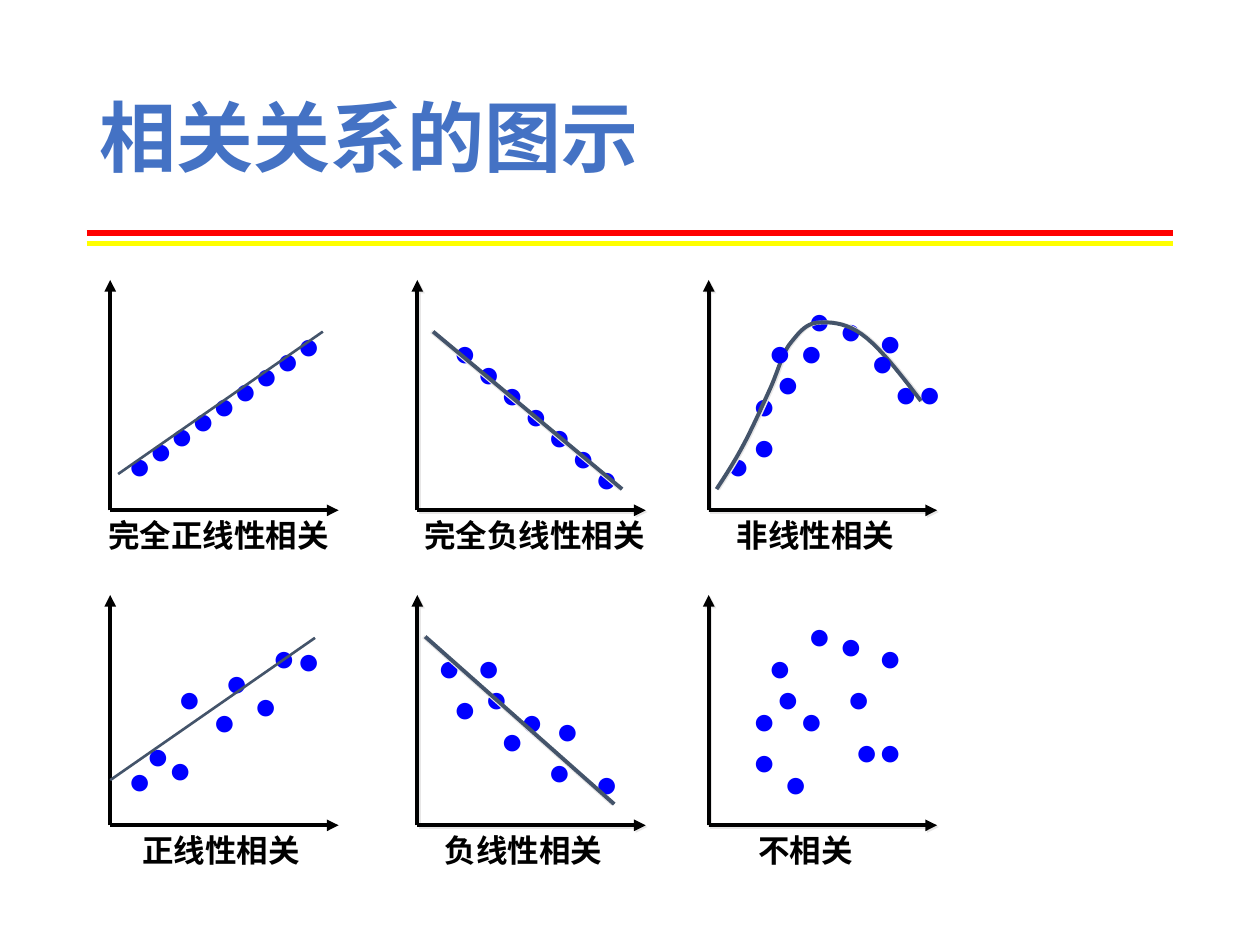
from lxml import etree
from pptx import Presentation
from pptx.dml.color import RGBColor
from pptx.enum import shapes, text
from pptx.oxml import ns
from pptx.util import Pt

COLORS = {"title": "4472C4", "red": "FF0000", "yellow": "FFFF00", "axis": "000000",
          "dot": "0000FF", "trend": "44546A", "shadow": "E7E6E6"}
CJK, LATIN = "Noto Sans CJK SC", "Times New Roman"
TITLE = "相关关系的图示"
COLUMNS, ROWS = (63, 238.5, 405), (160, 340)
AXIS_WIDTH, AXIS_HEIGHT = 130.5, 131.6
AXIS_SHADOW, LEFT_SHADOW, RIGHT_SHADOW = (1.4, 45), (1, 180), (1, 0)

PANELS = [
    {"caption": "完全正线性相关", "caption_x": -8.3, "caption_width": 157.5,
     "back": [(3.2 + 12.06 * i, 88.6 - 8.55 * i) for i in range(9)],
     "trend": [(4.5, 110.9), (121.5, 29.5)], "weight": 1.5},
    {"caption": "完全负线性相关", "caption_x": -3, "caption_width": 157.5,
     "back": [(13.5 + 13.5 * i, 23.8 + 12 * i) for i in range(7)],
     "trend": [(9, 29.5), (117, 119.5)], "weight": 2.25},
    {"caption": "非线性相关", "caption_x": 9, "caption_width": 112.5,
     "back": [(3.2, 88.6), (99, 47.5), (67.5, 11.5), (90, 18), (49.5, 5.8),
              (45, 23.8), (31.5, 41.8), (18, 77.8), (18, 54)],
     "curve": [(4.5, 119.5), (9.7, 111.6), (14.8, 103.7), (19.8, 94.3),
               (24.8, 85), (30.6, 72), (34.9, 62.6),
               (39.2, 53.3), (41.4, 43.9), (45.7, 37.4),
               (50.8, 31), (54.4, 25.9), (60.8, 24.5),
               (68, 23.8), (77.4, 23.8), (87.5, 31),
               (97.6, 38.2), (109.8, 54), (121.3, 69.1)],
     "front": [(85.5, 29.5), (112.5, 47.5), (27, 23.8)]},
    {"caption": "正线性相关", "caption_x": 11.2, "caption_width": 112.5,
     "back": [(3.2, 88.6), (99.7, 20.2), (75.2, 45.4), (85.5, 18), (58.5, 32.4),
              (51.5, 54.7), (31.5, 41.8), (13.5, 74.2), (26.3, 82.1)],
     "trend": [(0, 105.8), (117, 24.5)], "weight": 1.5},
    {"caption": "负线性相关", "caption_x": 8.5, "caption_width": 112.5,
     "back": [(67.5, 83.5), (94.5, 90), (40.5, 65.5), (72, 59.8), (13.5, 47.5),
              (51.7, 54.7), (31.5, 41.8), (4.5, 23.8), (27, 23.8)],
     "trend": [(4.5, 23.8), (112.5, 119.5)], "weight": 2.25},
    {"caption": "不相关", "caption_x": 21.2, "caption_width": 100,
     "back": [(36, 90), (76.5, 72), (67.5, 11.5), (90, 18), (49.5, 5.8), (45, 54),
              (31.5, 41.8), (18, 77.8), (18, 54), (72, 41.8), (90, 72), (27, 23.8)]},
]


def add_element(parent, tag, **attributes):
    return etree.SubElement(parent, ns.qn(tag), {k: str(v) for k, v in attributes.items()})


def set_font(paragraph, name, size, color, bold=False):
    font = paragraph.font
    font.name, font.size, font.bold = name, Pt(size), bold
    font.color.rgb = RGBColor.from_string(COLORS[color])
    for run in paragraph.runs:
        run.font.name = name
        add_element(run.font._element, "a:ea", typeface=name)


def style_line(shape, color, weight, shadow=None, arrow=False):
    shape.line.color.rgb = RGBColor.from_string(COLORS[color])
    shape.line.width = Pt(weight)
    if arrow:
        add_element(shape.line._get_or_add_ln(), "a:tailEnd", type="triangle")
    effects = add_element(shape._element.spPr, "a:effectLst")
    if shadow:
        distance, angle = shadow
        outer = add_element(effects, "a:outerShdw", dist=Pt(distance), dir=angle * 60000,
                            algn="ctr", rotWithShape=0)
        add_element(outer, "a:srgbClr", val=COLORS["shadow"])


def add_line(slide, start, end, *style):
    line = slide.shapes.add_connector(shapes.MSO_CONNECTOR.STRAIGHT,
                                      *(Pt(v) for v in (*start, *end)))
    style_line(line, *style)


def add_text(slide, content, box, *font):
    frame = slide.shapes.add_textbox(*(Pt(v) for v in box)).text_frame
    frame.word_wrap = True
    frame.auto_size = text.MSO_AUTO_SIZE.SHAPE_TO_FIT_TEXT
    paragraph = frame.paragraphs[0]
    paragraph.text = content
    spacing = add_element(paragraph._p.get_or_add_pPr(), "a:spcBef")
    add_element(spacing, "a:spcPct", val=50000)
    set_font(paragraph, *font)


def bezier(points, steps=10):
    yield points[0]
    for k in range(0, len(points) - 1, 3):
        for step in range(1, steps + 1):
            t = step / steps
            weights = ((1 - t) ** 3, 3 * t * (1 - t) ** 2, 3 * t * t * (1 - t), t ** 3)
            yield tuple(sum(w * p[axis] for w, p in zip(weights, points[k:k + 4]))
                        for axis in (0, 1))


def add_curve(slide, points):
    vertices = [(Pt(x), Pt(y)) for x, y in bezier(points)]
    builder = slide.shapes.build_freeform(*vertices[0])
    builder.add_line_segments(vertices[1:], close=False)
    curve = builder.convert_to_shape()
    curve.fill.background()
    style_line(curve, "trend", 2.25, RIGHT_SHADOW)


def add_panel(slide, panel, left, top, shadow):
    def place(points):
        return [(left + x, top + y) for x, y in points]

    def add_dots(points):
        for x, y in place(points):
            add_text(slide, "●", (x, y, 24, 33.8), LATIN, 22, "dot")

    corner = (left, top + AXIS_HEIGHT)
    for tip in ((left, top), (left + AXIS_WIDTH, corner[1])):
        add_line(slide, corner, tip, "axis", 2.25, shadow, True)
    add_dots(panel["back"])
    if "trend" in panel:
        add_line(slide, *place(panel["trend"]), "trend", panel["weight"],
                 LEFT_SHADOW if shadow else None)
    if "curve" in panel:
        add_curve(slide, place(panel["curve"]))
    add_dots(panel.get("front", []))
    add_text(slide, panel["caption"],
             (left + panel["caption_x"], corner[1], panel["caption_width"], 28.8),
             CJK, 18, "axis", True)


def main():
    presentation = Presentation()
    presentation.slide_width, presentation.slide_height = Pt(720), Pt(540)
    slide = presentation.slides.add_slide(presentation.slide_layouts[5])
    title = slide.shapes.title
    title.left, title.top, title.width, title.height = Pt(49.5), Pt(28.8), Pt(621), Pt(104.4)
    title.text_frame.text = TITLE
    title.text_frame.vertical_anchor = text.MSO_ANCHOR.MIDDLE
    paragraph = title.text_frame.paragraphs[0]
    paragraph.alignment = text.PP_ALIGN.LEFT
    paragraph.line_spacing = 0.9
    set_font(paragraph, CJK, 44, "title", True)
    for y, color in ((133.2, "red"), (139, "yellow")):
        add_line(slide, (49.5, y), (670.5, y), color, 3)
    for index, panel in enumerate(PANELS):
        row, column = divmod(index, len(COLUMNS))
        add_panel(slide, panel, COLUMNS[column], ROWS[row], AXIS_SHADOW if column else None)
    presentation.save("out.pptx")


if __name__ == "__main__":
    main()
